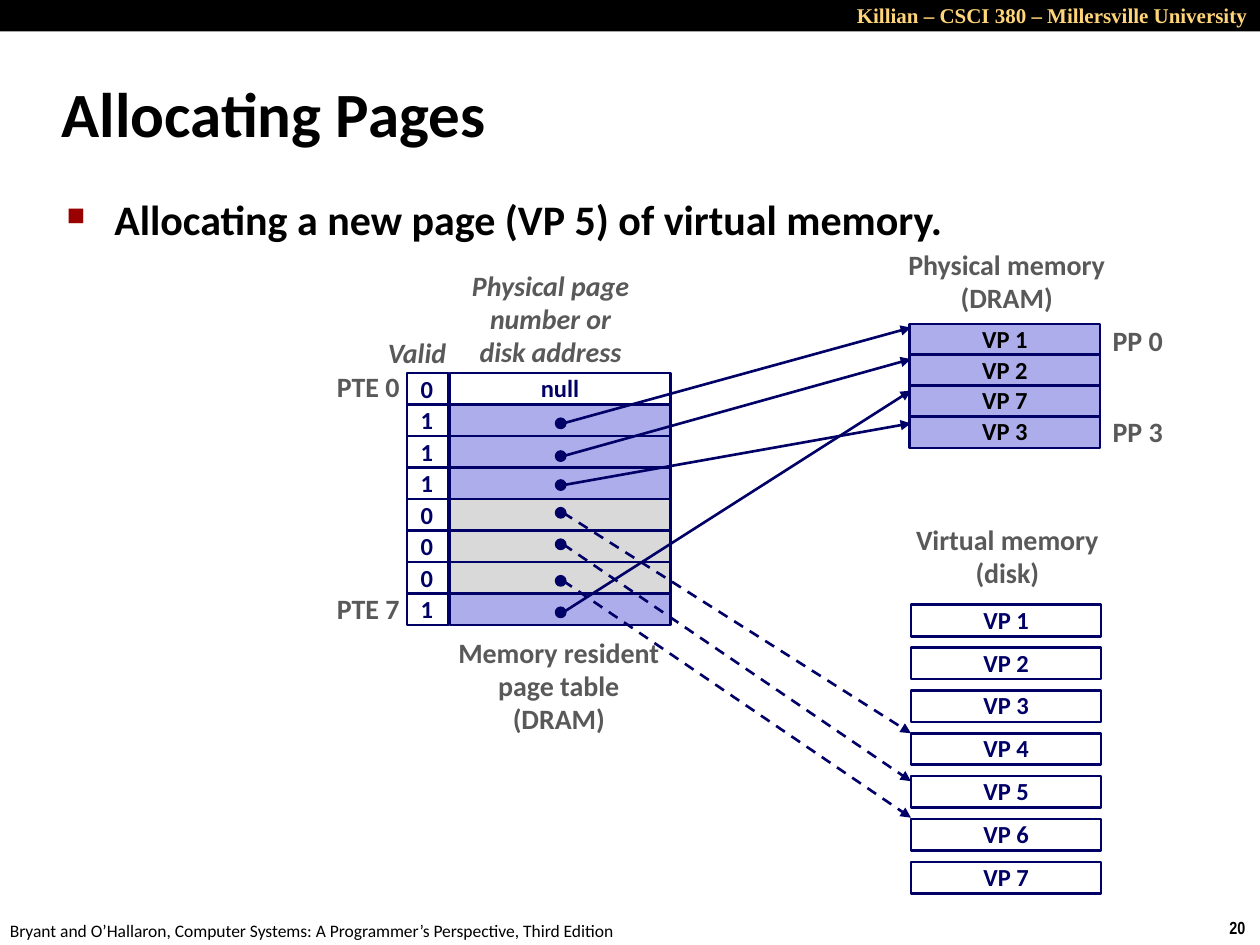
from dataclasses import dataclass

from lxml.etree import SubElement
from pptx import Presentation
from pptx.dml.color import RGBColor
from pptx.enum.dml import MSO_LINE_DASH_STYLE as Dash
from pptx.enum.shapes import MSO_CONNECTOR as Connector, MSO_SHAPE as Preset
from pptx.enum.text import MSO_ANCHOR as Anchor, MSO_AUTO_SIZE as AutoSize, PP_ALIGN as Align
from pptx.oxml.ns import qn
from pptx.util import Inches, Pt


@dataclass(frozen=True)
class Theme:
    black: str = "000000"
    white: str = "FFFFFF"
    navy: str = "000066"
    gray: str = "595959"
    cached: str = "ADADEB"
    uncached: str = "D9D9D9"
    bullet: str = "990000"
    gold: str = "FFD579"
    font: str = "Calibri"
    header_font: str = "Times New Roman"
    number_font: str = "Arial Narrow"
    title_size: int = 36
    body_size: int = 24
    label_size: int = 16
    cell_size: int = 14
    header_size: int = 12
    footer_size: int = 10
    line: float = 1.5
    spacing: float = 0.98


@dataclass(frozen=True)
class Stack:
    """A column of equal cells; pitch is the distance between cell tops."""
    left: float
    top: float
    width: float
    pitch: float
    height: float = 0.25

    def cell(self, row):
        return self.left, self.top + row * self.pitch, self.width, self.height


THEME = Theme()
VALID = Stack(3.23, 2.96, 0.33, 0.25)
ADDRESS = Stack(3.57, 2.96, 1.75, 0.25)
PHYSICAL = Stack(7.22, 2.57, 1.51, 0.245)
DISK = Stack(7.23, 4.8, 1.51, 0.34)

# Valid bit, height of the pointer's dot, height of its target
ENTRIES = [
    (0, None, None), (1, 3.36, 2.6), (1, 3.62, 2.85), (1, 3.85, 3.36),
    (0, 4.07, 5.82), (0, 4.32, 6.2), (0, 4.61, 6.49), (1, 4.86, 3.1),
]
DOT_CENTER, DOT_SIZE = 4.45, 0.08


def rgb(color):
    return RGBColor.from_string(color)


def inches(lengths):
    return [Inches(length) for length in lengths]


def write(frame, lines, size, color, align=Align.LEFT, bold=True, italic=False,
          font=THEME.font, spacing=None):
    for index, line in enumerate(lines):
        para = frame.add_paragraph() if index else frame.paragraphs[0]
        para.alignment = align
        para.line_spacing = spacing
        span = para.add_run()
        span.text = line
        span.font.name, span.font.size = font, Pt(size)
        span.font.bold, span.font.italic = bold, italic
        span.font.color.rgb = rgb(color)


def add_text(page, place, lines, size, color, wrap=False, anchor=Anchor.TOP, **style):
    box = page.shapes.add_textbox(*inches(place))
    frame = box.text_frame
    frame.word_wrap = wrap
    frame.auto_size = AutoSize.SHAPE_TO_FIT_TEXT
    frame.vertical_anchor = anchor
    write(frame, lines, size, color, **style)
    return box


def add_label(page, place, *lines, align=Align.CENTER, **style):
    add_text(page, place, lines, THEME.label_size, THEME.gray,
             align=align, spacing=THEME.spacing, **style)


def add_preset(page, preset, place, fill=None, line=THEME.line):
    shape = page.shapes.add_shape(preset, *inches(place))
    shape.shadow.inherit = False
    if fill:
        shape.fill.solid()
        shape.fill.fore_color.rgb = rgb(fill)
    else:
        shape.fill.background()
    if line:
        shape.line.color.rgb = rgb(THEME.navy)
        shape.line.width = Pt(line)
    else:
        shape.line.fill.background()
    return shape


def add_cell(page, place, fill=None, text=None, color=THEME.navy):
    cell = add_preset(page, Preset.RECTANGLE, place, fill)
    if text:
        frame = cell.text_frame
        frame.word_wrap = False
        frame.vertical_anchor = Anchor.MIDDLE
        write(frame, [text], THEME.cell_size, color, Align.CENTER, spacing=THEME.spacing)


def add_pointer(page, dot_y, target_y, dashed):
    """Draw an arrow from a table entry to a page, with a dot at its start."""
    arrow = page.shapes.add_connector(
        Connector.STRAIGHT, *inches((DOT_CENTER + 0.02, dot_y, DISK.left, target_y)))
    arrow.line.color.rgb = rgb(THEME.navy)
    arrow.line.width = Pt(THEME.line)
    if dashed:
        arrow.line.dash_style = Dash.DASH
    SubElement(arrow.line._get_or_add_ln(), qn("a:tailEnd"), type="triangle")
    SubElement(arrow._element.spPr, qn("a:effectLst"))
    corner = DOT_CENTER - DOT_SIZE / 2, dot_y - DOT_SIZE / 2
    add_preset(page, Preset.OVAL, (*corner, DOT_SIZE, DOT_SIZE), THEME.navy, 1)


def add_frame(page):
    """Draw the header bar, the footer and the page number."""
    add_preset(page, Preset.RECTANGLE, (0, 0, 10, 0.25), THEME.black, None)
    add_text(page, (6.69, -0.03, 3.31, 0.3), ["Killian – CSCI 380 – Millersville University"],
             THEME.header_size, THEME.gold, wrap=True, align=Align.RIGHT,
             font=THEME.header_font)
    add_text(page, (-0.02, 7.25, 5.08, 0.27),
             ["Bryant and O’Hallaron, Computer Systems: A Programmer’s Perspective, Third Edition"],
             THEME.footer_size, THEME.black, bold=False)
    add_text(page, (9.66, 7.23, 0.34, 0.27), ["20"], THEME.footer_size, THEME.black,
             font=THEME.number_font)


def set_title(page, text):
    title = page.shapes.title
    title.left, title.top, title.width, title.height = inches((0.39, 0.48, 8.3, 0.83))
    title.text_frame.vertical_anchor = Anchor.MIDDLE
    write(title.text_frame, [text], THEME.title_size, THEME.black)


def add_bullet(page, text):
    box = page.shapes.add_textbox(*inches((0.43, 1.49, 8.64, 5.44)))
    box.text_frame.word_wrap = True
    props = box.text_frame.paragraphs[0]._p.get_or_add_pPr()
    props.set("marL", str(Inches(0.38)))
    props.set("indent", str(-Inches(0.38)))
    color = SubElement(props, qn("a:buClr"))
    SubElement(color, qn("a:srgbClr"), val=THEME.bullet)
    SubElement(props, qn("a:buSzPct"), val="60000")
    SubElement(props, qn("a:buChar"), char="■")
    write(box.text_frame, [text], THEME.body_size, THEME.black)


def add_page_table(page):
    for row, (valid, dot_y, _) in enumerate(ENTRIES):
        if dot_y is None:
            add_cell(page, ADDRESS.cell(row), THEME.white, "null")
        else:
            add_cell(page, ADDRESS.cell(row), THEME.cached if valid else THEME.uncached)
        left, top, _, _ = VALID.cell(row)
        add_cell(page, VALID.cell(row))
        add_text(page, (left + 0.01, top - 0.03, 0.31, 0.33), [str(valid)],
                 THEME.cell_size, THEME.navy, spacing=THEME.spacing)
    add_label(page, (2.98, 2.63, 0.75, 0.37), "Valid", align=Align.LEFT, italic=True, wrap=True)
    add_label(page, (3.64, 2.09, 1.46, 0.89), "Physical page", "number or", "disk address",
              italic=True, anchor=Anchor.MIDDLE)
    add_label(page, (3.51, 5.01, 1.85, 0.89), "Memory resident", "page table", "(DRAM)")
    for text, top in (("PTE 0", 2.89), ("PTE 7", 4.65)):
        add_label(page, (2.57, top, 0.7, 0.37), text, align=Align.RIGHT, anchor=Anchor.MIDDLE)


def add_memories(page):
    add_label(page, (7.1, 1.93, 1.78, 0.63), "Physical memory", "(DRAM)")
    for row, number in enumerate((1, 2, 7, 3)):
        add_cell(page, PHYSICAL.cell(row), THEME.cached, f"VP {number}", THEME.black)
    for text, top in (("PP 0", 2.53), ("PP 3", 3.25)):
        add_label(page, (8.73, top, 0.6, 0.37), text, anchor=Anchor.MIDDLE)
    add_label(page, (7.15, 4.11, 1.69, 0.63), "Virtual memory", "(disk)")
    for row in range(7):
        add_cell(page, DISK.cell(row), THEME.white, f"VP {row + 1}")


def main():
    deck = Presentation()
    deck.slide_width, deck.slide_height = inches((10, 7.5))
    page = deck.slides.add_slide(deck.slide_layouts[5])
    add_frame(page)
    set_title(page, "Allocating Pages")
    add_bullet(page, "Allocating a new page (VP 5) of virtual memory.")
    add_page_table(page)
    add_memories(page)
    for valid, dot_y, target_y in ENTRIES:
        if dot_y is not None:
            add_pointer(page, dot_y, target_y, dashed=not valid)
    deck.save("out.pptx")


if __name__ == "__main__":
    main()
